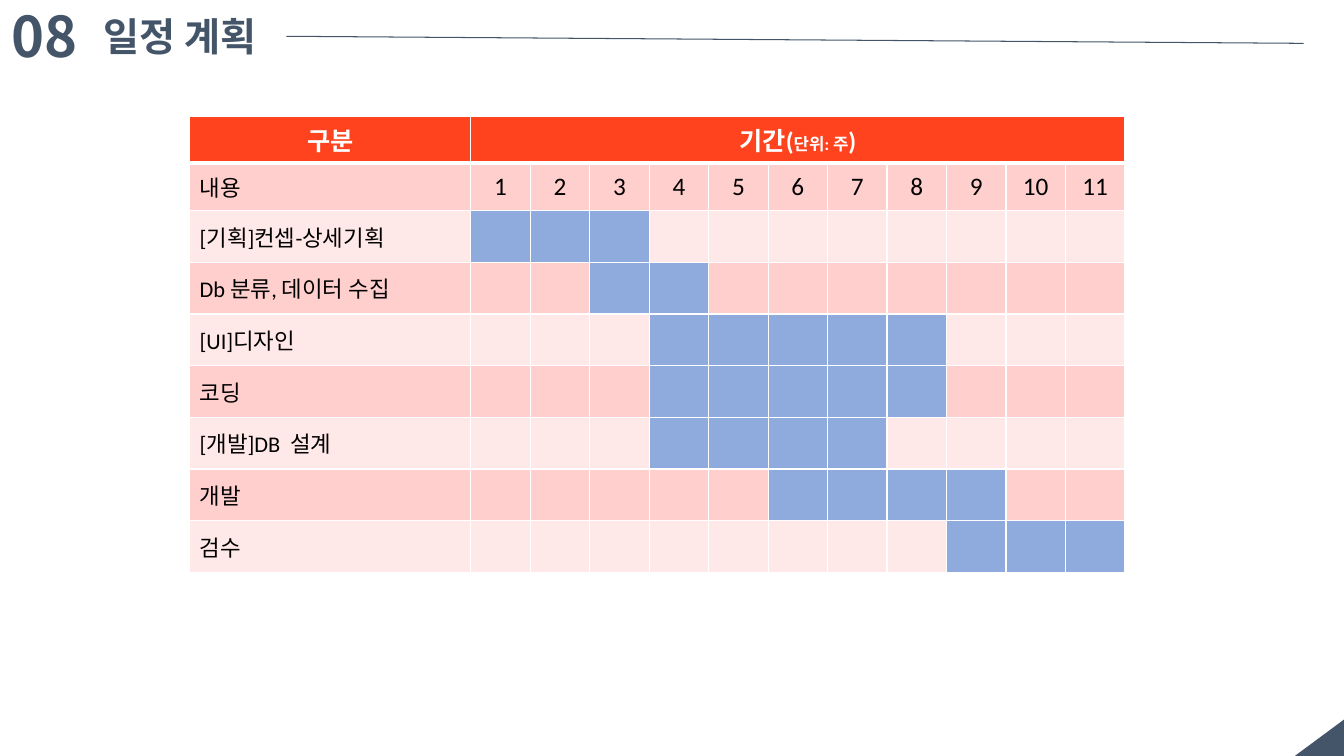
from dataclasses import dataclass

from lxml.etree import SubElement
from pptx import Presentation
from pptx.dml.color import RGBColor
from pptx.enum.shapes import MSO_CONNECTOR as CONNECTOR, MSO_SHAPE as SHAPE
from pptx.enum.text import MSO_ANCHOR as ANCHOR, MSO_AUTO_SIZE as AUTO, PP_ALIGN as ALIGN
from pptx.oxml.ns import qn
from pptx.util import Inches, Pt


@dataclass(frozen=True)
class Theme:
    slate: str = "445569"
    header: str = "FE431E"
    bands: tuple = ("FFCFCD", "FFE9E8")
    bar: str = "8FAADC"
    white: str = "FFFFFF"
    black: str = "000000"
    number_font: str = "Noto Sans CJK KR"
    title_font: str = "Arial"
    table_font: str = "Calibri"
    number_size: int = 40
    title_size: int = 28
    head_size: int = 18
    task_size: int = 16
    unit_size: int = 12


THEME = Theme()

# Schedule grid, in inches
WEEKS = 11
TABLE_LEFT, TABLE_TOP, TABLE_HEIGHT = 1.88, 1.15, 4.53
TASK_COLUMN, WEEK_COLUMN, HEAD_ROW = 2.79, 0.59, 0.47

# Task, first week, last week
TASKS = [
    ("[기획]컨셉-상세기획", 1, 3),
    ("Db 분류, 데이터 수집", 3, 4),
    ("[UI]디자인", 4, 8),
    ("코딩", 4, 8),
    ("[개발]DB  설계", 4, 7),
    ("개발", 6, 9),
    ("검수", 9, 11),
]


def rgb(color):
    return RGBColor.from_string(color)


def add_run(paragraph, text, size, font, color, bold=False):
    run = paragraph.add_run()
    run.text = text
    run.font.size, run.font.name, run.font.bold = Pt(size), font, bold
    run.font.color.rgb = rgb(color)


def write_heading(box, area, text, size, font, wrap):
    box.left, box.top, box.width, box.height = map(Inches, area)
    frame = box.text_frame
    frame.word_wrap, frame.auto_size = wrap, AUTO.NONE
    frame.vertical_anchor = ANCHOR.TOP
    paragraph = frame.paragraphs[0]
    paragraph.alignment, paragraph.line_spacing = ALIGN.LEFT, 1.0
    add_run(paragraph, text, size, font, THEME.slate, bold=True)


def add_rule(slide, start, end):
    rule = slide.shapes.add_connector(CONNECTOR.STRAIGHT, *map(Inches, start + end))
    rule.line.color.rgb = rgb(THEME.slate)
    rule.line.width = Pt(0.75)
    SubElement(rule._element.spPr, qn("a:effectLst"))


def add_corner(slide):
    corner = slide.shapes.add_shape(
        SHAPE.RIGHT_TRIANGLE, *map(Inches, (12.9, 7.07, 0.37, 0.5)))
    corner.rotation = 270
    corner.shadow.inherit = False
    corner.fill.solid()
    corner.fill.fore_color.rgb = rgb(THEME.slate)
    corner.line.fill.background()


def style_cell(cell, color, top=1, bottom=1):
    properties = cell._tc.get_or_add_tcPr()
    for side, width in (("L", 1), ("R", 1), ("T", top), ("B", bottom)):
        border = SubElement(properties, qn(f"a:ln{side}"), w=str(Pt(width)))
        paint = SubElement(border, qn("a:solidFill"))
        SubElement(paint, qn("a:srgbClr"), val=THEME.white)
    cell.fill.solid()
    cell.fill.fore_color.rgb = rgb(color)
    cell.vertical_anchor = ANCHOR.MIDDLE


def write_cell(cell, runs, color=THEME.black, align=ALIGN.CENTER, bold=False):
    paragraph = cell.text_frame.paragraphs[0]
    paragraph.alignment = align
    for text, size in runs:
        add_run(paragraph, text, size, THEME.table_font, color, bold)


def add_schedule(slide):
    rows = len(TASKS) + 2
    width = TASK_COLUMN + WEEKS * WEEK_COLUMN
    schedule = slide.shapes.add_table(
        rows, WEEKS + 1,
        *map(Inches, (TABLE_LEFT, TABLE_TOP, width, TABLE_HEIGHT))).table
    task_row = (TABLE_HEIGHT - 2 * HEAD_ROW) / len(TASKS)
    for index, column in enumerate(schedule.columns):
        column.width = Inches(WEEK_COLUMN if index else TASK_COLUMN)
    for index, row in enumerate(schedule.rows):
        row.height = Inches(HEAD_ROW if index < 2 else task_row)

    # Header row
    for column in range(WEEKS + 1):
        style_cell(schedule.cell(0, column), THEME.header, bottom=3)
    schedule.cell(0, 1).merge(schedule.cell(0, WEEKS))
    head = THEME.head_size
    write_cell(schedule.cell(0, 0), [("구분", head)], THEME.white, bold=True)
    write_cell(schedule.cell(0, 1),
               [("기간(", head), ("단위: 주", THEME.unit_size), (")", head)],
               THEME.white, bold=True)

    # Week numbers and task bars
    lines = [("내용", 0, 0)] + TASKS
    for row, (label, first, last) in enumerate(lines, start=1):
        band = THEME.bands[(row - 1) % 2]
        for column in range(WEEKS + 1):
            busy = column > 0 and first <= column <= last
            style_cell(schedule.cell(row, column), THEME.bar if busy else band,
                       top=3 if row == 1 else 1)
        write_cell(schedule.cell(row, 0), [(label, THEME.task_size)], align=ALIGN.LEFT)
    for week in range(1, WEEKS + 1):
        write_cell(schedule.cell(1, week), [(str(week), head)])


def main():
    deck = Presentation()
    deck.slide_width, deck.slide_height = Inches(13.33), Inches(7.5)
    slide = deck.slides.add_slide(deck.slide_layouts[5])

    # Corner and heading
    add_corner(slide)
    number_area = (0.02, -0.03, 1.27, 0.77)
    number = slide.shapes.add_textbox(*map(Inches, number_area))
    write_heading(number, number_area, "08", THEME.number_size, THEME.number_font, True)
    write_heading(slide.shapes.title, (0.93, 0.07, 1.91, 0.57), "일정 계획",
                  THEME.title_size, THEME.title_font, False)
    add_rule(slide, (2.84, 0.36), (12.93, 0.43))

    add_schedule(slide)
    deck.save("out.pptx")


if __name__ == "__main__":
    main()
